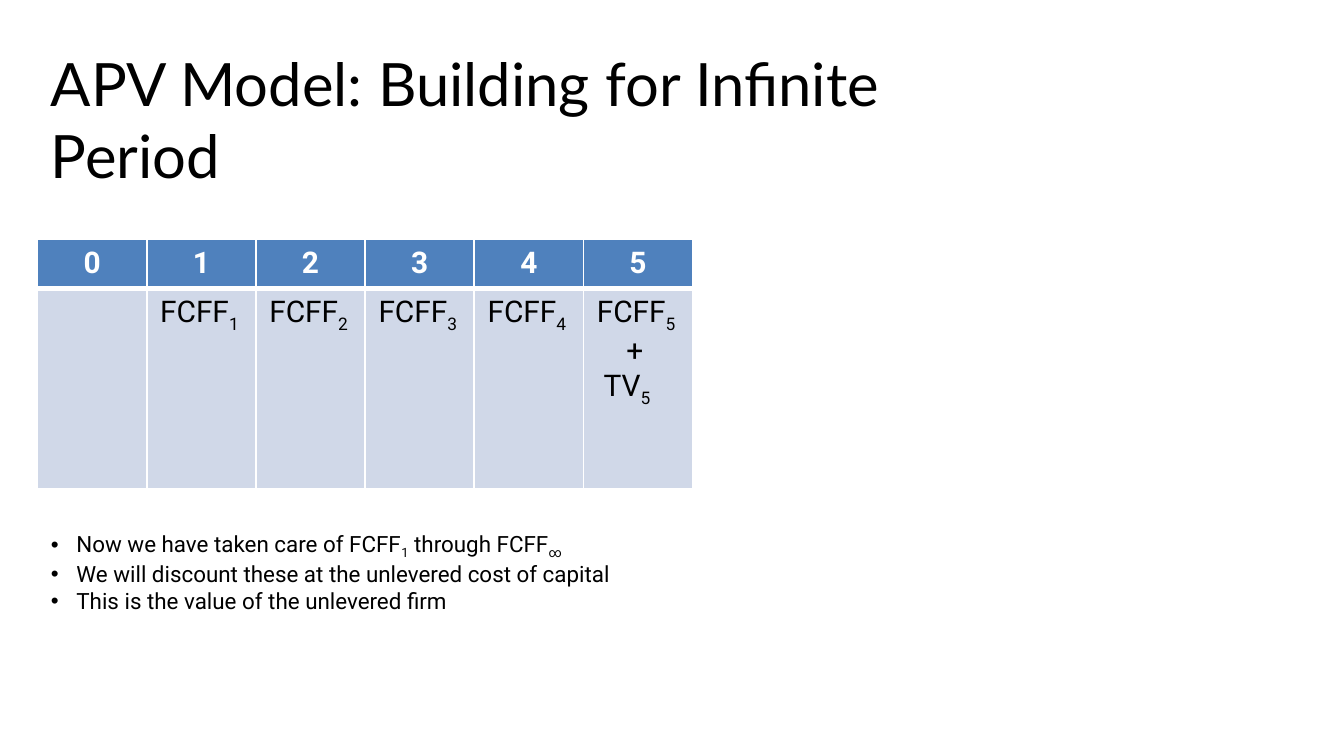
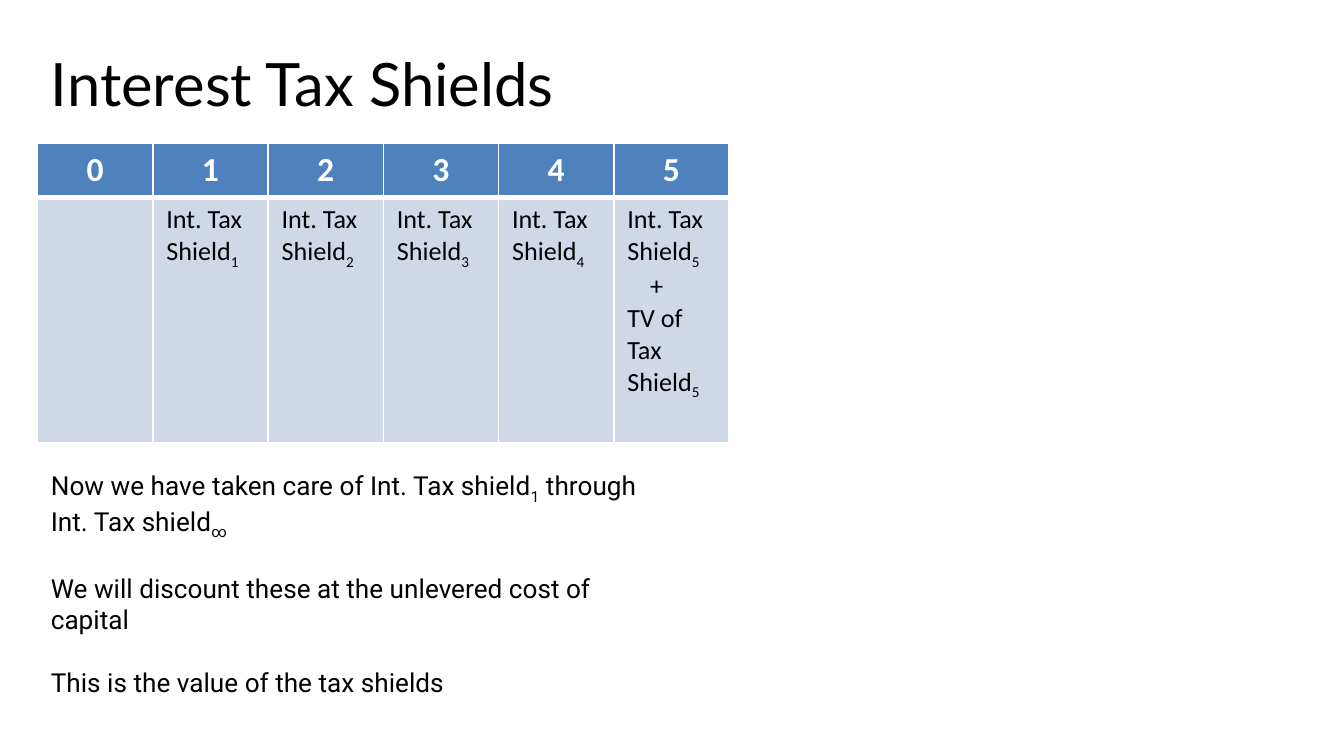
from lxml.etree import SubElement
from pptx import Presentation
from pptx.dml.color import RGBColor
from pptx.enum.text import MSO_ANCHOR, PP_ALIGN
from pptx.oxml.ns import qn
from pptx.util import Inches, Pt

WIDTH = Inches(10)
HEIGHT = WIDTH * 9 // 16
COL, ROW = WIDTH / 100, HEIGHT / 100
LEFT = 2.8
BLACK, WHITE, BLUE, PALE = "000000", "FFFFFF", "4F81BD", "D0D8E8"


def rgb(value):
    """Return the colour for a hex string."""
    return RGBColor.from_string(value)


def emu(box):
    """Turn a box in grid columns and rows into slide lengths."""
    x, y, w, h = box
    return [int(n) for n in (x * COL, y * ROW, w * COL, h * ROW)]


def write(tf, lines, font, size, color=BLACK, bold=False):
    """Write one paragraph a line; underscores enclose subscripts."""
    for i, line in enumerate(lines):
        p = tf.paragraphs[0] if i == 0 else tf.add_paragraph()
        for j, part in enumerate(line.split("_")):
            if not part:
                continue
            r = p.add_run()
            r.text = part
            r.font.name, r.font.size, r.font.bold = font, Pt(size), bold
            r.font.color.rgb = rgb(color)
            if j % 2:
                r.font._element.set("baseline", "-25000")


def indent(p, left, first=0):
    """Set the left margin and first-line indent of a paragraph in inches."""
    pPr = p._p.get_or_add_pPr()
    pPr.set("marL", str(Inches(left)))
    pPr.set("indent", str(Inches(first)))
    return pPr


def add_text(s, box, lines, font, size):
    """Add a wrapped text box and return its text frame."""
    tf = s.shapes.add_textbox(*emu(box)).text_frame
    tf.word_wrap = True
    tf.vertical_anchor = MSO_ANCHOR.TOP
    write(tf, lines, font, size)
    return tf


def add_title(s, text, rows):
    """Add the slide title over the given number of rows."""
    add_text(s, (LEFT, 5.33, 67.6, rows), [text], "Lato", 32)


def add_bullets(s, box, lines, size):
    """Add a bulleted list."""
    for p in add_text(s, box, lines, "Roboto", size).paragraphs:
        pPr = indent(p, 0.19, -0.19)
        SubElement(pPr, qn("a:buFont"), typeface="Arial")
        SubElement(pPr, qn("a:buChar"), char="•")


def add_notes(s, box, lines, size):
    """Add plain paragraphs set one line apart."""
    for p in add_text(s, box, lines, "Roboto", size).paragraphs[1:]:
        p.space_before = Pt(size * 1.2)


def style_cell(cell, fill, top, bottom):
    """Give a cell white borders and a fill."""
    tcPr = cell._tc.get_or_add_tcPr()
    for side, width in (("L", 1), ("R", 1), ("T", top), ("B", bottom)):
        ln = SubElement(tcPr, qn(f"a:ln{side}"), w=str(Pt(width)))
        SubElement(SubElement(ln, qn("a:solidFill")), qn("a:srgbClr"), val=WHITE)
    cell.fill.solid()
    cell.fill.fore_color.rgb = rgb(fill)


def add_timeline(s, box, head_share, label, terminal, indents, font, head_size, size):
    """Add the period table, with the terminal value in the last period."""
    x, y, w, h = emu(box)
    periods = 6
    table = s.shapes.add_table(2, periods, x, y, w, h).table
    table.first_row = table.horz_banding = False
    table.rows[0].height = int(h * head_share)
    table.rows[1].height = h - table.rows[0].height
    for n in range(periods):
        table.columns[n].width = w // periods
        head, body = table.cell(0, n), table.cell(1, n)
        style_cell(head, BLUE, 1, 3)
        style_cell(body, PALE, 3, 1)
        write(head.text_frame, [str(n)], font, head_size, WHITE, True)
        head.text_frame.paragraphs[0].alignment = PP_ALIGN.CENTER
        if n:
            last = ["+", f"{terminal}_{n}_"] if n == periods - 1 else []
            write(body.text_frame, [f"{label}_{n}_"] + last, font, size)
    for p, left in zip(body.text_frame.paragraphs[1:], indents):
        indent(p, left)


def build_infinite_period(s):
    """Build the slide on the model for an infinite period."""
    add_title(s, "APV Model: Building for Infinite Period", 22.4)
    add_timeline(s, (LEFT, 31.64, 48.75, 32.65), 0.19, "FCFF", "TV",
                 (0.22, 0.05), "Roboto", 16, 16)
    add_bullets(s, (LEFT, 69.2, 43.8, 17.96), [
        "Now we have taken care of FCFF_1_ through FCFF_∞_",
        "We will discount these at the unlevered cost of capital",
        "This is the value of the unlevered firm",
    ], 12)


def build_tax_shields(s):
    """Build the slide on interest tax shields."""
    add_timeline(s, (LEFT, 18.93, 51.45, 39.7), 0.18, "Int. Tax Shield",
                 "TV of Tax Shield", (0.17, 0), "Calibri", 18, 14)
    add_title(s, "Interest Tax Shields", 13.51)
    add_notes(s, (LEFT, 61.25, 47.2, 23.29), [
        "Now we have taken care of Int. Tax shield_1_ through Int. Tax shield_∞_",
        "We will discount these at the unlevered cost of capital",
        "This is the value of the tax shields",
    ], 14)


prs = Presentation()
prs.slide_width, prs.slide_height = WIDTH, HEIGHT
for build in (build_infinite_period, build_tax_shields):
    build(prs.slides.add_slide(prs.slide_layouts[6]))
prs.save("out.pptx")
